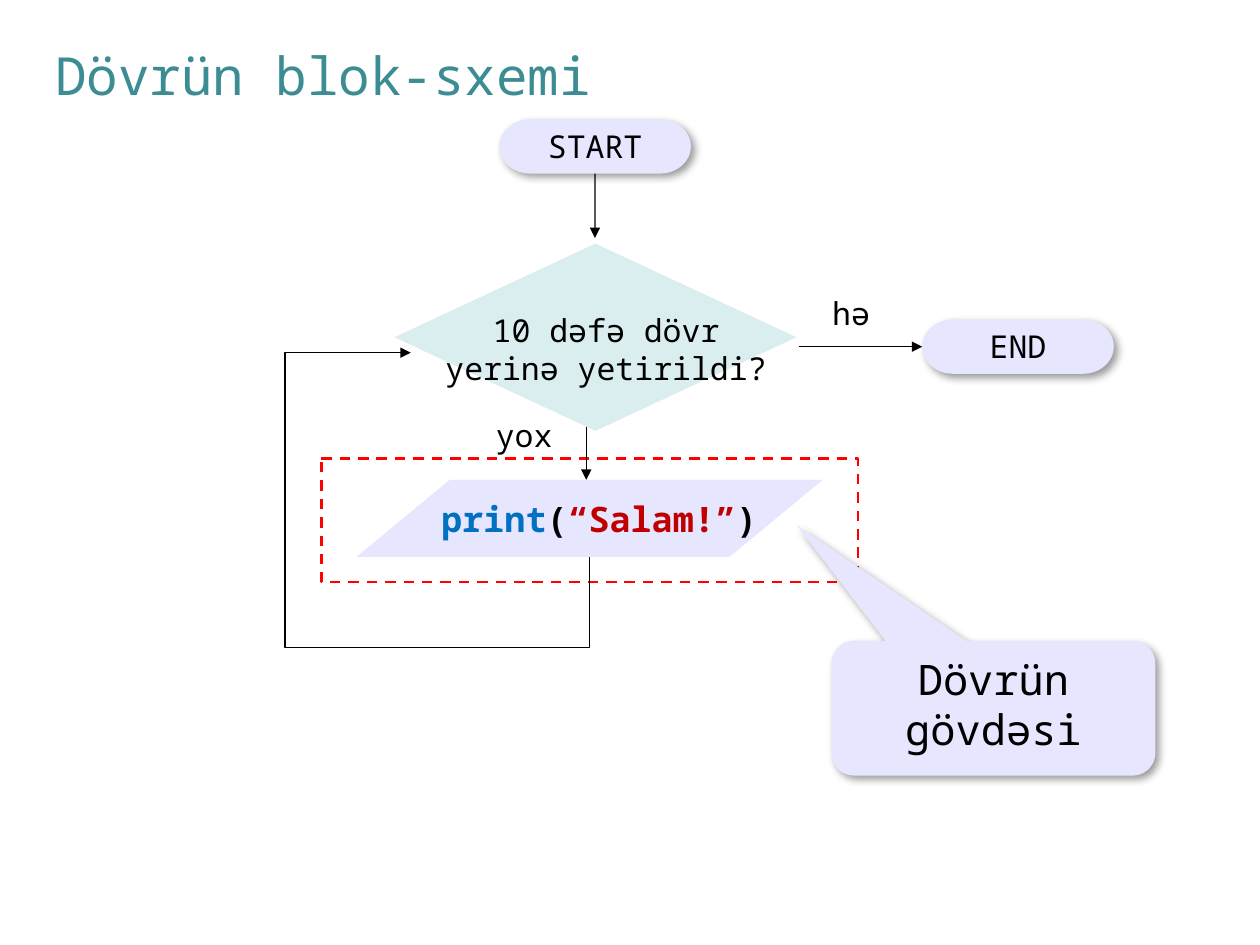
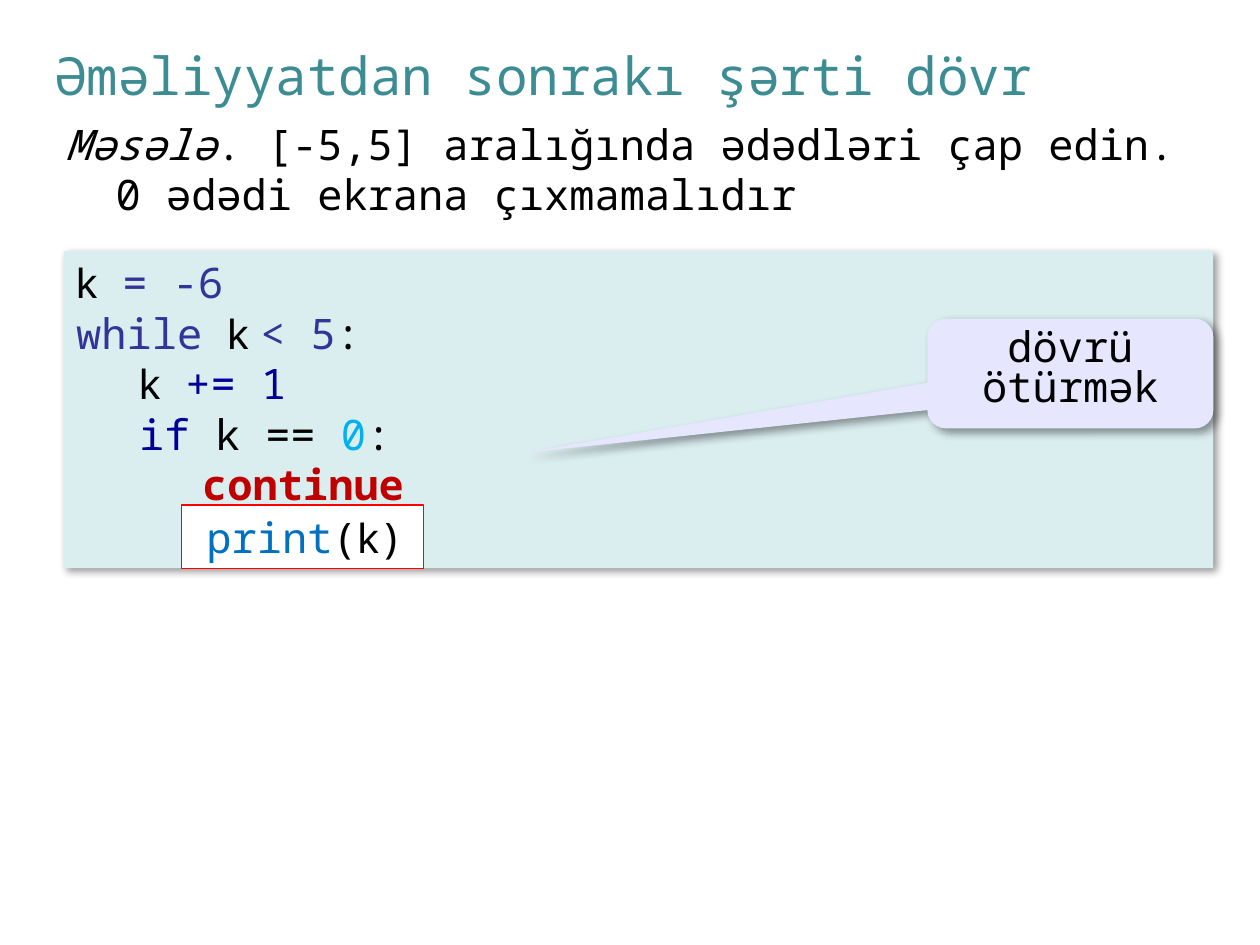
"""Build two slides on loops: a flowchart and a while-loop code example."""
from dataclasses import dataclass

from lxml import etree
from pptx import Presentation
from pptx.dml.color import RGBColor
from pptx.enum import dml, shapes, text
from pptx.oxml import ns
from pptx.util import Pt

KIND = shapes.MSO_SHAPE
ALIGN = text.PP_ALIGN


@dataclass(frozen=True)
class Theme:
    mono: str = "Noto Sans Mono"
    sans: str = "Arial"
    title: str = "3C8C93"
    black: str = "000000"
    white: str = "FFFFFF"
    lilac: str = "E6E6FF"
    mint: str = "DAEDEF"
    red: str = "FF0000"
    literal: str = "C00000"
    builtin: str = "0070C0"
    number: str = "00B0F0"
    keyword: str = "333399"
    inner: str = "000099"
    title_size: int = 30
    body_size: int = 24
    print_size: int = 20
    label_size: int = 18


T = Theme()


@dataclass(frozen=True)
class Run:
    text: str
    color: str = T.black
    name: str = T.mono
    bold: bool = False
    italic: bool = False


@dataclass(frozen=True)
class Box:
    """A shape, or a text box when kind is None, with its lines of runs."""
    at: tuple[float, float, float, float]
    lines: tuple[tuple[Run, ...], ...] = ()
    kind: shapes.MSO_SHAPE | None = None
    fill: str | None = None
    line: tuple[str, float] | None = None
    dashed: bool = False
    shadow: bool = False
    size: int = T.label_size
    align: text.PP_ALIGN = ALIGN.CENTER
    indent: tuple[float, float] = (0, 0)
    spacing: float = 1.0
    insets: tuple[float, float, float, float] = (7.2, 3.6, 7.2, 3.6)
    adjust: tuple[float, ...] = ()


def rgb(color: str) -> RGBColor:
    """Return the colour object for a hex string."""
    return RGBColor.from_string(color)


def add_xml(parent, tag: str, **attrs):
    """Append a DrawingML child with the given attributes."""
    child = etree.SubElement(parent, ns.qn(tag))
    for key, value in attrs.items():
        child.set(key, str(value))
    return child


def write_line(p, runs: tuple[Run, ...], size: int) -> None:
    """Write runs, formatting the paragraph wherever all runs agree."""
    p.font.size = Pt(size)
    fonts = []
    for run in runs:
        r = p.add_run()
        r.text = run.text
        fonts.append(r.font)
    for key in ("name", "color", "bold", "italic"):
        values = [getattr(run, key) for run in runs]
        agreed = len(set(values)) == 1
        for font, value in zip([p.font] if agreed else fonts, values):
            if key == "color":
                font.color.rgb = rgb(value)
            else:
                setattr(font, key, value)


def add_shadow(sp) -> None:
    """Give a shape the soft shadow to its lower right."""
    effects = sp._element.spPr.find(ns.qn("a:effectLst"))
    shadow = add_xml(effects, "a:outerShdw", blurRad=Pt(5), dist=Pt(3),
                     dir=45 * 60000, algn="tl", rotWithShape=0)
    color = add_xml(shadow, "a:srgbClr", val=T.black)
    add_xml(color, "a:alpha", val=40000)


def add_box(parent, box: Box):
    """Draw a box on a slide or in a group."""
    at = [Pt(v) for v in box.at]
    if box.kind is None:
        sp = parent.shapes.add_textbox(*at)
    else:
        sp = parent.shapes.add_shape(box.kind, *at)
        sp.shadow.inherit = False
    for i, value in enumerate(box.adjust):
        sp.adjustments[i] = value
    if box.fill:
        sp.fill.solid()
        sp.fill.fore_color.rgb = rgb(box.fill)
    else:
        sp.fill.background()
    if box.line:
        sp.line.color.rgb = rgb(box.line[0])
        sp.line.width = Pt(box.line[1])
        if box.dashed:
            sp.line.dash_style = dml.MSO_LINE.DASH
    else:
        sp.line.fill.background()
    if box.shadow:
        add_shadow(sp)
    tf = sp.text_frame
    tf.word_wrap = True
    tf.vertical_anchor = text.MSO_ANCHOR.TOP
    tf.margin_left, tf.margin_top, tf.margin_right, tf.margin_bottom = map(Pt, box.insets)
    for i, runs in enumerate(box.lines):
        p = tf.add_paragraph() if i else tf.paragraphs[0]
        p.alignment = box.align
        p.line_spacing = box.spacing
        if any(box.indent):
            pPr = p._p.get_or_add_pPr()
            pPr.set("marL", str(Pt(box.indent[0])))
            pPr.set("indent", str(Pt(box.indent[1])))
        write_line(p, runs, box.size)
    return sp


def add_group(s, *boxes: Box) -> None:
    """Draw boxes together as one group."""
    group = s.shapes.add_group_shape()
    for box in boxes:
        add_box(group, box)


def add_arrow(s, x1: float, y1: float, x2: float, y2: float,
              kind=shapes.MSO_CONNECTOR.STRAIGHT):
    """Draw a thin black connector with an arrowhead at its end."""
    c = s.shapes.add_connector(kind, Pt(x1), Pt(y1), Pt(x2), Pt(y2))
    c.line.color.rgb = rgb(T.black)
    c.line.width = Pt(0.75)
    spPr = c._element.spPr
    add_xml(spPr.find(ns.qn("a:ln")), "a:tailEnd", type="triangle")
    add_xml(spPr, "a:effectLst")
    return c


def add_loop_arrow(s) -> None:
    """Draw the elbow arrow from the loop body back to the condition."""
    c = add_arrow(s, 344.2, 208.8, 227.5, 311, shapes.MSO_CONNECTOR.ELBOW)
    spPr = c._element.spPr
    spPr.find(ns.qn("a:xfrm")).set("rot", str(90 * 60000))
    geom = spPr.find(ns.qn("a:prstGeom"))
    geom.set("prst", "bentConnector4")
    guides = geom.find(ns.qn("a:avLst"))
    if guides is None:
        guides = add_xml(geom, "a:avLst")
    for name, value in (("adj1", -44400), ("adj2", 170400)):
        add_xml(guides, "a:gd", name=name, fmla=f"val {value}")


def add_slide(prs, title: str):
    """Add a title-only slide with the shared title style."""
    s = prs.slides.add_slide(prs.slide_layouts[5])
    sp = s.shapes.title
    sp.left, sp.top, sp.width, sp.height = Pt(24.5), Pt(23.8), Pt(659.5), Pt(37.4)
    tf = sp.text_frame
    tf.auto_size = text.MSO_AUTO_SIZE.NONE
    tf.vertical_anchor = text.MSO_ANCHOR.MIDDLE
    p = tf.paragraphs[0]
    p.alignment = ALIGN.LEFT
    write_line(p, (Run(title, T.title),), T.title_size)
    return s


def terminator(caption: str, left: float, top: float) -> Box:
    """Describe a rounded start or end block."""
    return Box((left, top, 109.5, 31), ((Run(caption),),), KIND.FLOWCHART_TERMINATOR,
               T.lilac, shadow=True, insets=(0, 0, 0, 3.6))


def branch(caption: str, left: float, top: float, width: float) -> Box:
    """Describe the label of a branch."""
    return Box((left, top, width, 31.7), ((Run(caption),),), KIND.FLOWCHART_PROCESS)


def callout(caption: str, at: tuple[float, float, float, float],
            tip: tuple[float, float], spacing: float = 1.0) -> Box:
    """Describe a speech balloon whose tip is relative to its size."""
    return Box(at, ((Run(caption),),), KIND.ROUNDED_RECTANGULAR_CALLOUT, T.lilac,
               shadow=True, size=T.body_size, spacing=spacing, adjust=(*tip, 0.167))


def flowchart_slide(prs) -> None:
    """Build the flowchart of the loop."""
    s = add_slide(prs, "Dövrün blok-sxemi")
    add_box(s, Box((183.6, 262, 306.7, 70.6), kind=KIND.FLOWCHART_PROCESS,
                   line=(T.red, 1.5), dashed=True))
    start = add_box(s, terminator("START", 285.3, 68.2))
    end = add_box(s, terminator("END", 527, 182.6))
    add_loop_arrow(s)
    add_arrow(s, 340, 99.2, 340, 136).begin_connect(start, 2)
    add_arrow(s, 456.3, 198.1, 527, 198.1).end_connect(end, 1)
    add_arrow(s, 335, 243.5, 335, 274.2)
    add_box(s, branch("hə", 466.5, 164.2, 39.6))
    add_box(s, branch("yox", 275, 234, 49))
    add_box(s, callout("Dövrün gövdəsi", (475.2, 366.2, 185, 77), (-0.608, -1.358)))
    add_group(s,
              Box((225.4, 139.2, 229.7, 107), kind=KIND.FLOWCHART_DECISION, fill=T.mint),
              Box((241.2, 174.2, 210.2, 47.5), ((Run("10 dəfə dövr yerinə yetirildi?"),),)))
    call = (Run("print", T.builtin, bold=True), Run("(", bold=True),
            Run("“Salam!”", T.literal, bold=True), Run(")", bold=True))
    add_group(s,
              Box((203.8, 274.2, 266.4, 44), kind=KIND.FLOWCHART_DATA, fill=T.lilac),
              Box((225.4, 280.8, 234, 31.7), (call,), size=T.print_size))


def code_slide(prs) -> None:
    """Build the while-loop example that skips zero."""
    s = add_slide(prs, "Əməliyyatdan sonrakı şərti dövr")
    code = (
        (Run("k", name=T.sans), Run(" = -6", T.keyword)),
        (Run("while ", T.keyword), Run("k ", name=T.sans), Run("< 5", T.keyword), Run(":")),
        (Run("\t", T.inner), Run("k", name=T.sans), Run(" += 1", T.inner)),
        (Run("\tif", T.inner), Run(" k == "), Run("0", T.number), Run(":")),
        (Run("\t\tcontinue", T.literal, bold=True),),
    )
    add_box(s, Box((36.5, 143.3, 656.8, 181.4), code, KIND.RECTANGLE, T.mint,
                   shadow=True, size=T.body_size, align=ALIGN.JUSTIFY))
    call = (Run("print", T.builtin), Run("("), Run("k", name=T.sans), Run(")"))
    add_box(s, Box((103.7, 288.5, 138.2, 36.2), (call,), KIND.RECTANGLE, T.white,
                   (T.red, 0.75), size=T.body_size, align=ALIGN.JUSTIFY,
                   indent=(14.4, -7.2)))
    task = (Run("Məsələ", italic=True),
            Run(". [-5,5] aralığında ədədləri çap edin. 0 ədədi ekrana çıxmamalıdır"))
    add_box(s, Box((30.2, 64.1, 656.6, 65.5), (task,), size=T.body_size,
                   align=ALIGN.LEFT, indent=(28.8, -28.8)))
    add_box(s, callout("dövrü ötürmək", (530, 182.2, 163.4, 62.6), (-1.908, 0.723), 0.8))


def main() -> None:
    """Build and save the presentation."""
    prs = Presentation()
    prs.slide_width, prs.slide_height = Pt(720), Pt(540)
    flowchart_slide(prs)
    code_slide(prs)
    prs.save("out.pptx")


if __name__ == "__main__":
    main()
